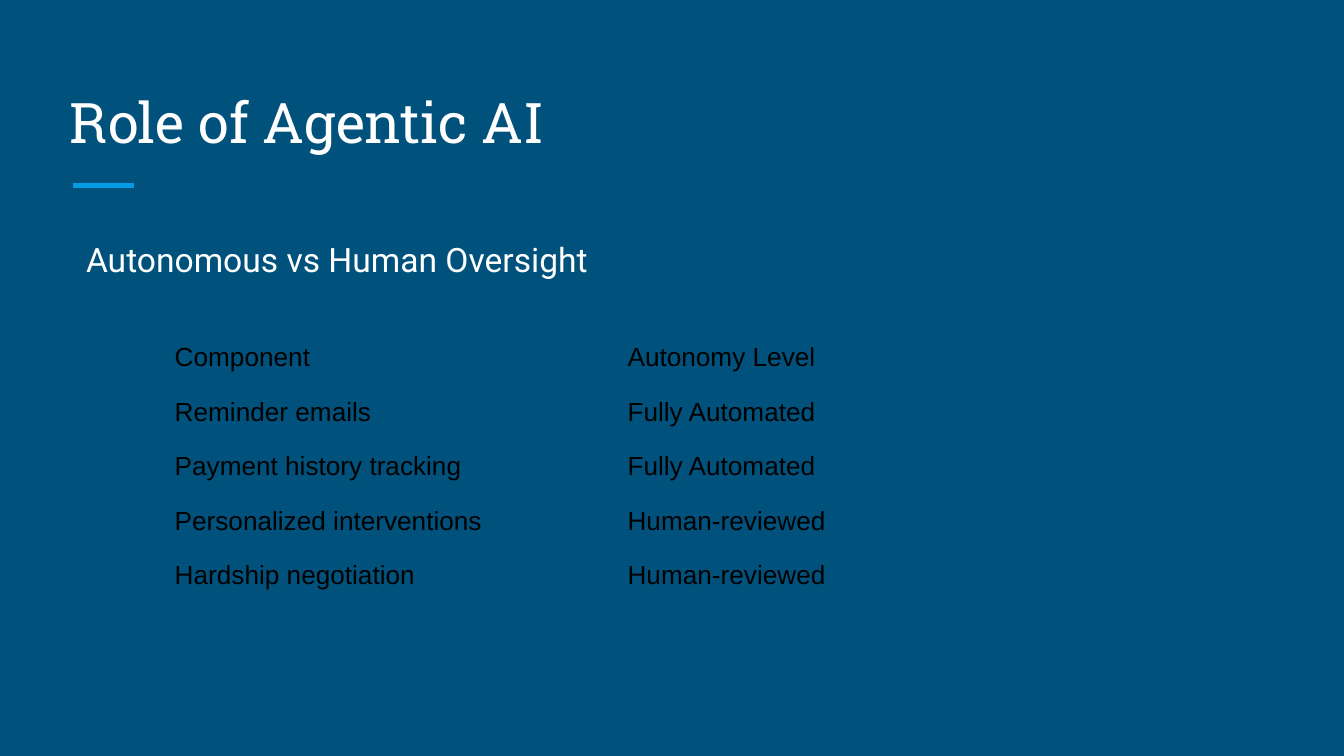
"""Build the slide on the role of agentic AI."""
from lxml import etree
from pptx import Presentation
from pptx import util as u
from pptx.dml.color import RGBColor
from pptx.enum import shapes, text
from pptx.oxml import ns

NAVY = RGBColor(0x00, 0x51, 0x7C)
BLUE = RGBColor(0x03, 0x9B, 0xE5)
WHITE = RGBColor(0xFF, 0xFF, 0xFF)
BLACK = RGBColor(0x00, 0x00, 0x00)
PLAIN = "{2D5ABB26-0587-4C30-8999-92F81FD0307C}"
ROWS = [
    ("Component", "Autonomy Level"),
    ("Reminder emails", "Fully Automated"),
    ("Payment history tracking", "Fully Automated"),
    ("Personalized interventions", "Human-reviewed"),
    ("Hardship negotiation", "Human-reviewed"),
]


def style(para, face, size, color):
    """Format every run of a paragraph."""
    for run in para.runs:
        font = run.font
        font.name, font.size, font.bold = face, u.Pt(size), False
        font.color.rgb = color


def fill_holder(holder, words, box, anchor, face, size):
    """Place a placeholder, set its text and return its paragraph."""
    holder.left, holder.top, holder.width, holder.height = map(u.Inches, box)
    frame = holder.text_frame
    frame.text = words
    frame.word_wrap = True
    frame.auto_size = text.MSO_AUTO_SIZE.NONE
    frame.vertical_anchor = anchor
    frame.margin_left = frame.margin_right = u.Inches(0.1)
    frame.margin_top = frame.margin_bottom = u.Inches(0.1)
    para = frame.paragraphs[0]
    para.alignment = text.PP_ALIGN.LEFT
    para.space_before = u.Pt(0)
    style(para, face, size, WHITE)
    return para


def indent(para, left, first):
    """Give a paragraph a hanging indent without a bullet."""
    props = para._p.get_or_add_pPr()
    props.set("marL", str(u.Inches(left)))
    props.set("indent", str(u.Inches(first)))
    etree.SubElement(props, ns.qn("a:buNone"))


def add_rule(slide):
    """Draw the short accent line under the title."""
    y = u.Inches(1.38)
    rule = slide.shapes.add_connector(
        shapes.MSO_CONNECTOR.STRAIGHT, u.Inches(0.54), y, u.Inches(1), y)
    rule.line.color.rgb = BLUE
    rule.line.width = u.Pt(3)
    etree.SubElement(rule._element.spPr, ns.qn("a:effectLst"))


def add_grid(slide):
    """Add the table of components and autonomy levels."""
    frame = slide.shapes.add_table(
        len(ROWS), 2, u.Inches(1.2), u.Inches(2.5),
        u.Inches(6.67), u.Inches(2.03))
    grid = frame.table
    grid.first_row = grid.horz_banding = False
    grid._tbl.tblPr.find(ns.qn("a:tableStyleId")).text = PLAIN
    for col, width in zip(grid.columns, (3.37, 3.3)):
        col.width = u.Inches(width)
    for row, words in zip(grid.rows, ROWS):
        for cell, word in zip(row.cells, words):
            cell.text = word
            cell.fill.background()
            style(cell.text_frame.paragraphs[0], "Arial", 14, BLACK)


def main():
    """Create and save the presentation."""
    deck = Presentation()
    deck.slide_width = u.Inches(10)
    deck.slide_height = deck.slide_width * 9 // 16
    slide = deck.slides.add_slide(deck.slide_layouts[1])
    slide.background.fill.solid()
    slide.background.fill.fore_color.rgb = NAVY
    add_rule(slide)
    fill_holder(slide.shapes.title, "Role of Agentic AI",
                (0.42, 0.5, 9.15, 0.75), text.MSO_ANCHOR.BOTTOM,
                "Roboto Slab", 30)
    para = fill_holder(slide.placeholders[1], "Autonomous vs Human Oversight",
                       (0.42, 1.63, 9.15, 3.37), text.MSO_ANCHOR.TOP,
                       "Roboto", 18)
    para.line_spacing = 1.15
    indent(para, 0.5, -0.38)
    add_grid(slide)
    deck.save("out.pptx")


if __name__ == "__main__":
    main()
